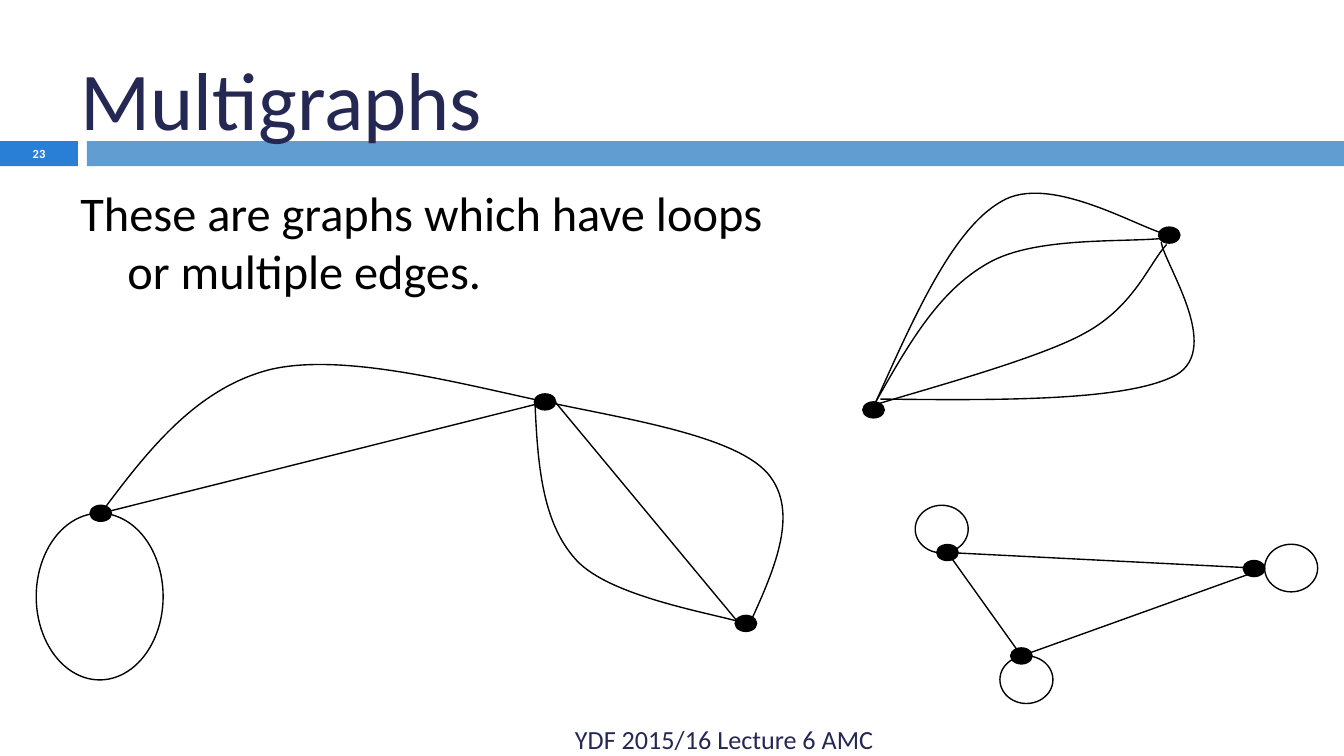
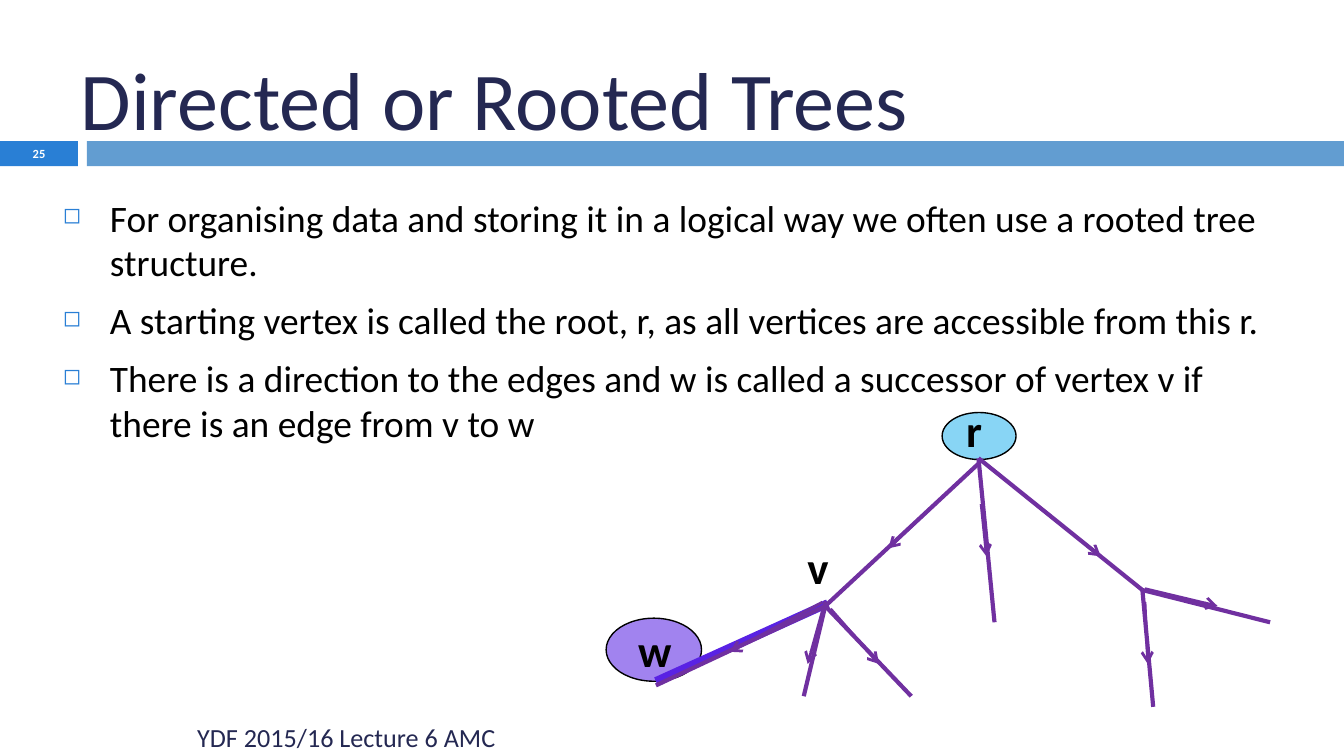
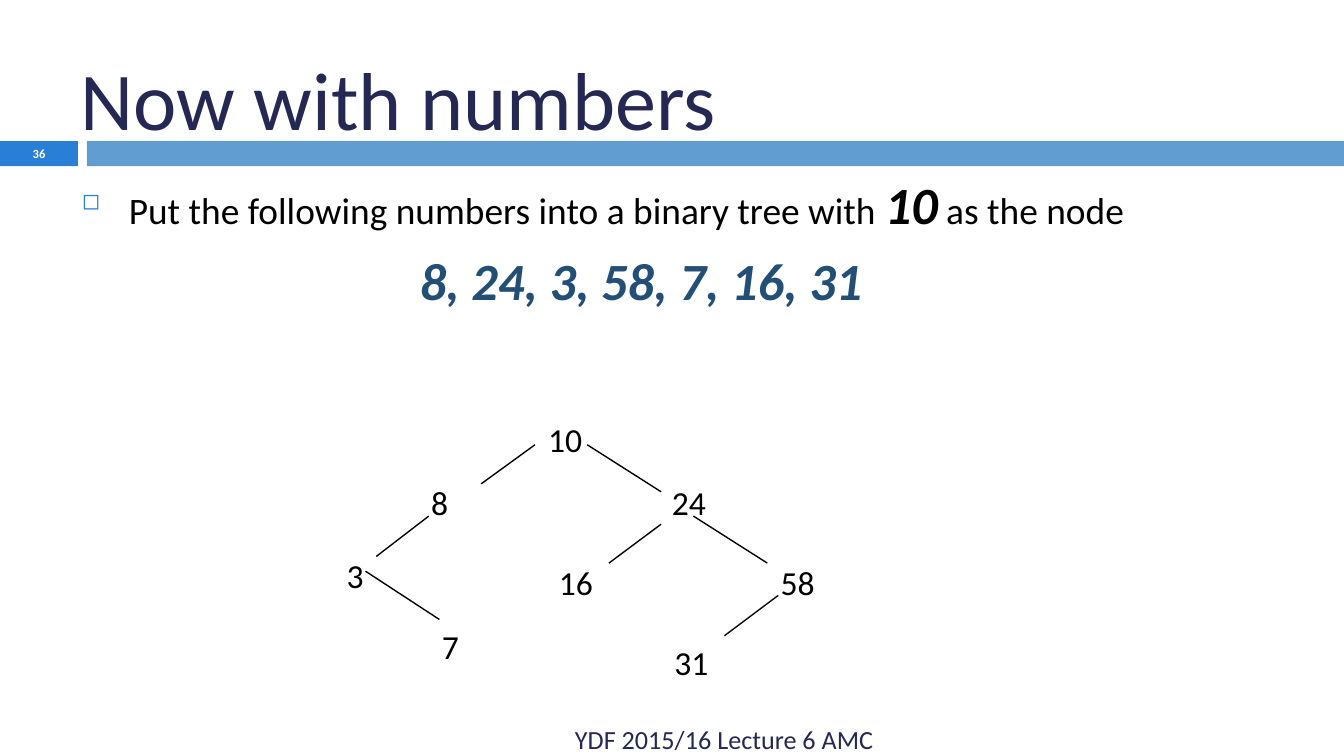
from typing import NamedTuple

from lxml import etree
from pptx import Presentation
from pptx.dml.color import RGBColor
from pptx.enum.shapes import MSO_CONNECTOR, MSO_SHAPE
from pptx.enum.text import MSO_ANCHOR, MSO_AUTO_SIZE, PP_ALIGN
from pptx.oxml.ns import qn
from pptx.shapes.autoshape import Shape
from pptx.shapes.shapetree import GroupShapes, SlideShapes
from pptx.slide import Slide
from pptx.text.text import TextFrame
from pptx.util import Pt

STRAIGHT = MSO_CONNECTOR.STRAIGHT
RECTANGLE, OVAL = MSO_SHAPE.RECTANGLE, MSO_SHAPE.OVAL
TOP, MIDDLE = MSO_ANCHOR.TOP, MSO_ANCHOR.MIDDLE
LEFT, CENTER, RIGHT = PP_ALIGN.LEFT, PP_ALIGN.CENTER, PP_ALIGN.RIGHT
NO_AUTOFIT, FIT_SHAPE = MSO_AUTO_SIZE.NONE, MSO_AUTO_SIZE.SHAPE_TO_FIT_TEXT

FONT = "Calibri"
BLACK, WHITE = "000000", "FFFFFF"
NAVY, STEEL = "242852", "234F77"
ACCENT, BAND = "297FD5", "629DD1"
PURPLE, VIOLET, SKY = "7030A0", "5922E4", "3EBBF0"
THIN = 0.75
HANGING = 25.2
FOOTER = "YDF 2015/16 Lecture 6 AMC"
TITLE_ONLY = 5

Point = tuple[float, float]
Shapes = SlideShapes | GroupShapes


class Box(NamedTuple):
    left: float
    top: float
    width: float
    height: float


class Segment(NamedTuple):
    start: Point
    end: Point


class TextRun(NamedTuple):
    text: str
    size: float
    color: str = BLACK
    bold: bool = False
    italic: bool = False


class TextParagraph(NamedTuple):
    runs: list[TextRun]
    alignment: PP_ALIGN = LEFT
    hanging: bool = False
    bullet: bool = False


class Label(NamedTuple):
    text: str
    left: float
    top: float


TITLE_BOX = Box(36, 16.6, 648, 67.7)
NUMBER_BOX = Box(0, 74.9, 41.8, 14.4)
FOOTER_BOX = Box(48.2, 385.2, 427, 21.6)
TREE_FOOTER_BOX = Box(1.4, 383.8, 271.4, 21.6)
BANDS = [(Box(0, 75.6, 41.8, 13.5), ACCENT), (Box(46.6, 75.6, 673.4, 13.5), BAND)]

VERTEX_WIDTH, VERTEX_HEIGHT = 11.5, 8.6
VERTICES = [
    (54, 275), (292, 215.3), (399.6, 334),
    (626.4, 126), (468, 219.6),
    (507.6, 296), (671.8, 304.6), (547.2, 351.4),
]
LOOPS = [
    Box(19.4, 275, 68, 89.3),
    Box(490.3, 270.7, 28.4, 25.5),
    Box(677.5, 291.6, 28.4, 25.5),
    Box(535.7, 351.4, 28.4, 25.5),
]
GRAPH_EDGES = [
    Segment((54, 275), (292.3, 215.3)),
    Segment((297.4, 215.3), (399.6, 338.4)),
    Segment((507.6, 296), (677.5, 304.6)),
    Segment((677.5, 304.6), (547.2, 351.4)),
    Segment((507.6, 296), (547.2, 351.4)),
]
# Each curve is a start point, then two control points and an end point per bend.
CURVED_EDGES: list[list[Point]] = [
    [(399.6, 338.4), (414.7, 306), (429.1, 274.3), (411.1, 253.4),
     (393.1, 233.3), (336.2, 224.6), (292.3, 215.3),
     (247.7, 205.9), (184.3, 188.6), (144.7, 198),
     (105.1, 208.1), (79.2, 241.2), (54, 275)],
    [(286.6, 215.3), (288, 247.7), (290.2, 280.1), (308.9, 300.2),
     (327.6, 320.4), (384.5, 329), (399.6, 334.1)],
    [(471.6, 213.8), (538.6, 214.6), (604.8, 214.6), (630, 200.9),
     (655.2, 186.5), (623.5, 141.1), (622.1, 129.6)],
    [(467.3, 219.6), (488.9, 171.4), (509.8, 123.1), (536.4, 108),
     (562.3, 92.2), (611.3, 123.1), (626.4, 126)],
    [(468, 217.4), (486.7, 184.3), (502.6, 156.2), (529.2, 141.1),
     (555.1, 126), (605.5, 130.3), (625.7, 127.4)],
    [(467.3, 217.4), (486.7, 211), (555.1, 193), (581, 178.6),
     (607.7, 164.2), (615.6, 141.1), (625, 131)],
]

ROOT, V_NODE, RIGHT_NODE = (524.2, 245.5), (442.1, 324.7), (612, 316.1)
BRANCHES = [
    Segment(ROOT, RIGHT_NODE),
    Segment(RIGHT_NODE, (680.4, 333.4)),
    Segment(RIGHT_NODE, (617.8, 378.7)),
    Segment(ROOT, (532.8, 333.4)),
    Segment(V_NODE, (524.2, 248.4)),
    Segment(V_NODE, (488.2, 373)),
    Segment(V_NODE, (430.6, 373)),
    Segment(V_NODE, (351.4, 367.2)),
]
DIRECTIONS = [
    Segment((547.2, 264.2), (589.7, 298.1)),
    Segment((613.4, 315.4), (652.3, 324.7)),
    Segment((613.4, 322.6), (614.9, 355.7)),
    Segment((525.6, 270), (528.5, 298.1)),
    Segment((501.1, 270), (475.9, 293.8)),
    Segment((445, 326.2), (470.9, 355.7)),
    Segment((442.1, 321.8), (432.7, 355.7)),
    Segment((440.6, 322.6), (391, 349.2)),
]
TREE_LABELS = [Label("r", 510.5, 212.4), Label("v", 425.5, 285.8), Label("w", 334.8, 329.8)]
TREE_POINTS = [
    "For organising data and storing it in a logical way we often use a rooted tree structure.",
    "A starting vertex is called the root, r, as all vertices are accessible from this r.",
    "There is a direction to the edges and w is called a successor of vertex v "
    "if there is an edge from v to w",
]

NUMBER_LABELS = [
    Label("8", 223.9, 254.9), Label("24", 352.8, 254.9),
    Label("7", 229.7, 331.9), Label("58", 411.1, 297.4),
    Label("3", 178.6, 293.8), Label("16", 292.3, 297.4),
    Label("10", 286.6, 221), Label("31", 354.2, 340.6),
]
NUMBER_EDGES = [
    Segment((286.6, 238.3), (257.8, 259.2)),
    Segment((229.7, 276.5), (201.6, 298.1)),
    Segment((416.9, 319), (388.1, 340.6)),
    Segment((354.2, 280.8), (326.2, 301.7)),
    Segment((354.2, 263.5), (314.6, 238.3)),
    Segment((411.1, 301.7), (371.5, 276.5)),
    Segment((235.4, 331.9), (195.8, 306)),
]


def rgb(color: str) -> RGBColor:
    return RGBColor.from_string(color)


def in_points(box: Box) -> list[Pt]:
    return [Pt(length) for length in box]


def add_filled(shapes: Shapes, preset: MSO_SHAPE, box: Box, fill: str,
               line: str | None = None, opacity: int = 100) -> Shape:
    shape = shapes.add_shape(preset, *in_points(box))
    shape.shadow.inherit = False
    shape.fill.solid()
    shape.fill.fore_color.rgb = rgb(fill)
    if opacity < 100:
        color = next(shape.element.spPr.iter(qn("a:srgbClr")))
        etree.SubElement(color, qn("a:alpha"), val=str(opacity * 1000))
    if line:
        shape.line.color.rgb = rgb(line)
        shape.line.width = Pt(THIN)
    else:
        shape.line.fill.background()
    return shape


def add_line(shapes: Shapes, segment: Segment, color: str = BLACK,
             width: float = THIN, arrow: bool = False) -> None:
    ends = [Pt(value) for point in segment for value in point]
    connector = shapes.add_connector(STRAIGHT, *ends)
    connector.line.color.rgb = rgb(color)
    connector.line.width = Pt(width)
    properties = connector.element.spPr
    if arrow:
        etree.SubElement(properties.find(qn("a:ln")), qn("a:tailEnd"), type="arrow")
    etree.SubElement(properties, qn("a:effectLst"))


def add_curve(shapes: Shapes, points: list[Point]) -> None:
    """Draw an outline and turn every three segments into one Bezier curve."""
    start, *rest = [(Pt(x), Pt(y)) for x, y in points]
    builder = shapes.build_freeform(*start)
    builder.add_line_segments(rest, close=False)
    shape = builder.convert_to_shape()
    shape.shadow.inherit = False
    shape.fill.background()
    shape.line.color.rgb = rgb(BLACK)
    shape.line.width = Pt(THIN)
    outline = next(shape.element.iter(qn("a:path")))
    segments = outline.findall(qn("a:lnTo"))
    for first in range(0, len(segments), 3):
        curve = etree.SubElement(outline, qn("a:cubicBezTo"))
        for segment in segments[first:first + 3]:
            curve.append(segment[0])
            outline.remove(segment)


def write(frame: TextFrame, paragraphs: list[TextParagraph]) -> None:
    for index, content in enumerate(paragraphs):
        paragraph = frame.add_paragraph() if index else frame.paragraphs[0]
        properties = paragraph._p.get_or_add_pPr()
        if content.hanging:
            properties.set("marL", str(Pt(HANGING)))
            properties.set("indent", str(-Pt(HANGING)))
        if content.bullet:
            color = etree.SubElement(properties, qn("a:buClr"))
            etree.SubElement(color, qn("a:srgbClr"), val=ACCENT)
            etree.SubElement(properties, qn("a:buSzPct"), val="60000")
            etree.SubElement(properties, qn("a:buChar"), char="◻")
        paragraph.alignment = content.alignment
        if index:
            paragraph.space_before = Pt(7)
        for text_run in content.runs:
            run = paragraph.add_run()
            run.text = text_run.text
            run.font.name = FONT
            run.font.size = Pt(text_run.size)
            run.font.color.rgb = rgb(text_run.color)
            run.font.bold = text_run.bold
            run.font.italic = text_run.italic


def add_text(shapes: Shapes, box: Box, paragraphs: list[TextParagraph],
             anchor: MSO_ANCHOR = TOP, wrap: bool = True, grow: bool = False) -> None:
    frame = shapes.add_textbox(*in_points(box)).text_frame
    frame.word_wrap = wrap
    frame.auto_size = FIT_SHAPE if grow else NO_AUTOFIT
    frame.vertical_anchor = anchor
    write(frame, paragraphs)


def add_base_slide(presentation: Presentation, title: str, number: int,
                   footer_box: Box = FOOTER_BOX) -> Slide:
    """Add a slide with its title, bands, slide number and footer."""
    slide = presentation.slides.add_slide(presentation.slide_layouts[TITLE_ONLY])
    heading = slide.shapes.title
    heading.left, heading.top, heading.width, heading.height = in_points(TITLE_BOX)
    frame = heading.text_frame
    frame.word_wrap = True
    frame.auto_size = NO_AUTOFIT
    frame.vertical_anchor = MIDDLE
    frame.margin_bottom = 0
    write(frame, [TextParagraph([TextRun(title, 44, NAVY)])])
    for box, color in BANDS:
        band = add_filled(slide.shapes, RECTANGLE, box, color)
        heading.element.addprevious(band.element)
    number_run = TextRun(str(number), 6.7, WHITE, bold=True)
    add_text(slide.shapes, NUMBER_BOX, [TextParagraph([number_run], CENTER)], MIDDLE)
    footer = TextParagraph([TextRun(FOOTER, 14, NAVY)], RIGHT)
    add_text(slide.shapes, footer_box, [footer], MIDDLE)
    return slide


def add_multigraphs(presentation: Presentation) -> None:
    shapes = add_base_slide(presentation, "Multigraphs", 23).shapes
    definition = TextRun("These are graphs which have loops or multiple edges.", 25.9)
    add_text(shapes, Box(36, 94.3, 397.4, 61.2), [TextParagraph([definition], hanging=True)])
    for loop in LOOPS:
        add_filled(shapes, OVAL, loop, WHITE, BLACK)
    for edge in GRAPH_EDGES:
        add_line(shapes, edge)
    for curve in CURVED_EDGES:
        add_curve(shapes, curve)
    for x, y in VERTICES:
        vertex = Box(x - VERTEX_WIDTH / 2, y - VERTEX_HEIGHT / 2, VERTEX_WIDTH, VERTEX_HEIGHT)
        add_filled(shapes, OVAL, vertex, BLACK, BLACK)


def add_rooted_trees(presentation: Presentation) -> None:
    slide = add_base_slide(presentation, "Directed or Rooted Trees", 25, TREE_FOOTER_BOX)
    shapes = slide.shapes
    add_filled(shapes, OVAL, Box(324.7, 331.2, 51.1, 33.8), VIOLET, BLACK, opacity=56)
    points = [TextParagraph([TextRun(text, 20)], hanging=True, bullet=True)
              for text in TREE_POINTS]
    add_text(shapes, Box(26.6, 100.8, 656.6, 170), points)
    add_filled(shapes, OVAL, Box(504.7, 221, 39.6, 25.2), SKY, BLACK, opacity=61)
    add_line(shapes, Segment((443.5, 323.3), (351.4, 365)), VIOLET, 4.5)
    tree = shapes.add_group_shape().shapes
    for branch in BRANCHES:
        add_line(tree, branch, PURPLE, 2.25)
    for direction in DIRECTIONS:
        add_line(tree, direction, PURPLE, 1.5, arrow=True)
    for label in TREE_LABELS:
        text = TextParagraph([TextRun(label.text, 24, bold=True)])
        add_text(tree, Box(label.left, label.top, 45.4, 36), [text], grow=True)


def add_number_tree(presentation: Presentation) -> None:
    shapes = add_base_slide(presentation, "Now with numbers", 36).shapes
    task = [
        TextRun("Put the following numbers into a binary tree with ", 20),
        TextRun("10", 28, bold=True, italic=True),
        TextRun(" as the node", 20),
    ]
    numbers = TextRun("8, 24, 3, 58, 7, 16, 31", 28, STEEL, bold=True, italic=True)
    add_text(shapes, Box(36.7, 88.6, 613.4, 108), [
        TextParagraph(task, hanging=True, bullet=True),
        TextParagraph([numbers], CENTER, hanging=True),
    ])
    for label in NUMBER_LABELS:
        width = 24.5 if len(label.text) == 1 else 34.6
        add_text(shapes, Box(label.left, label.top, width, 28.8),
                 [TextParagraph([TextRun(label.text, 18)])], wrap=False, grow=True)
    for edge in NUMBER_EDGES:
        add_line(shapes, edge)


def main() -> None:
    presentation = Presentation()
    presentation.slide_width, presentation.slide_height = Pt(720), Pt(405)
    add_multigraphs(presentation)
    add_rooted_trees(presentation)
    add_number_tree(presentation)
    presentation.save("out.pptx")


if __name__ == "__main__":
    main()
